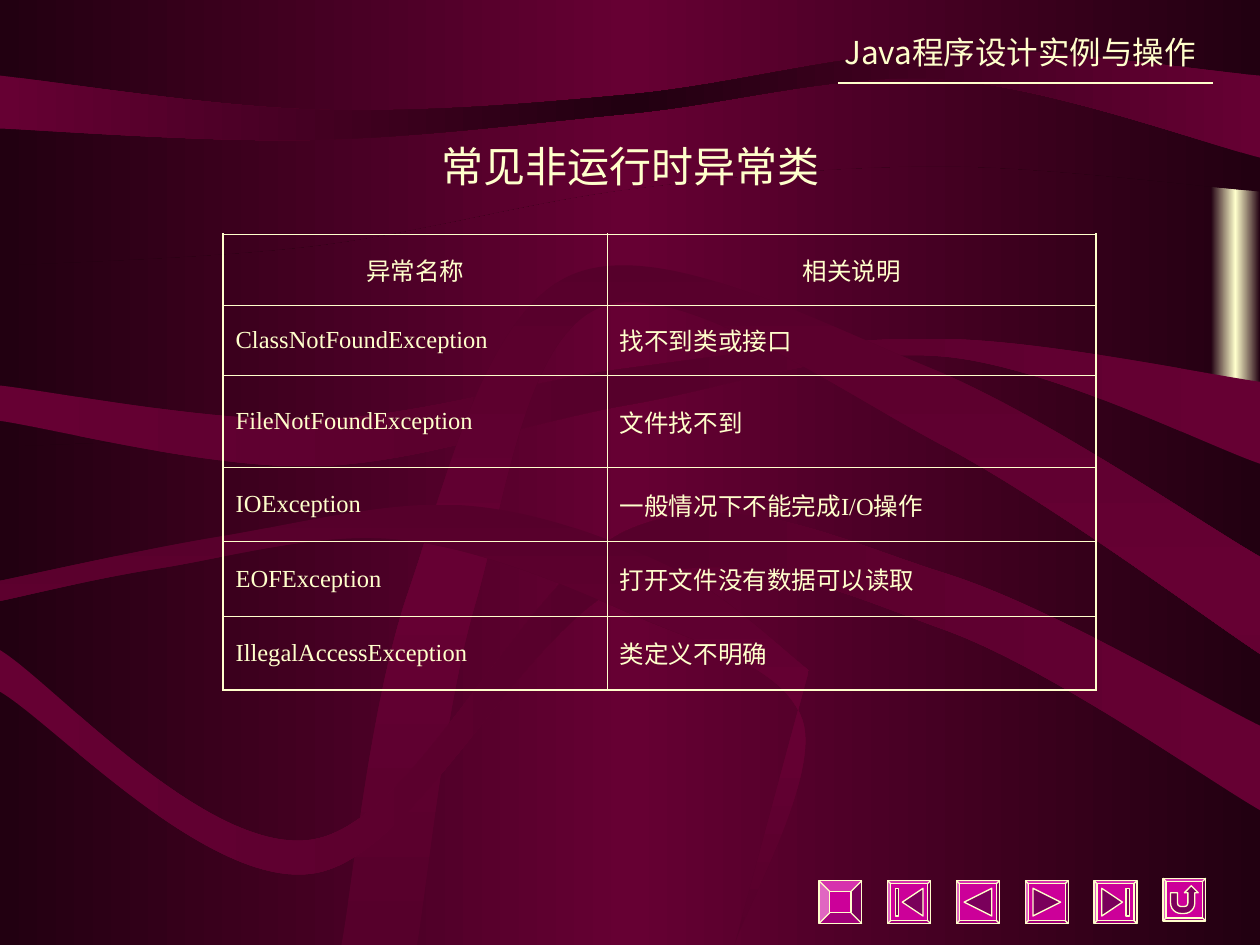
import copy
import pptx
import pptx.util
import pptx.dml.color
import pptx.enum.shapes
import pptx.enum.text
import pptx.oxml.ns
import pptx.oxml.xmlchemy

RGB = pptx.dml.color.RGBColor
CREAM = RGB.from_string("FFFFCC")
NIGHT = RGB.from_string("220011")
WINE = RGB.from_string("660033")
PLUM = RGB.from_string("56002B")
PINK = RGB.from_string("CC0099")
SANS, SERIF = "Noto Sans CJK SC", "Times New Roman"

Pt = pptx.util.Pt
qn = pptx.oxml.ns.qn
make = pptx.oxml.xmlchemy.OxmlElement
kinds = pptx.enum.shapes.MSO_SHAPE
ALIGN = pptx.enum.text.PP_ALIGN
MIDDLE = pptx.enum.text.MSO_ANCHOR.MIDDLE

# Slide, on a grid of 10 columns by 7.5 rows
deck = pptx.Presentation()
U = pptx.util.Inches(1)
deck.slide_width, deck.slide_height = 10 * U, int(7.5 * U)
slide = deck.slides.add_slide(deck.slide_layouts[6])
shapes = slide.shapes


def span(*cells):
    """Turn grid columns and rows into lengths."""
    return [int(cell * U) for cell in cells]


def write(frame, text, size=14, font=SERIF, align=ALIGN.LEFT):
    """Put one formatted paragraph into a text frame."""
    frame.word_wrap = True
    para = frame.paragraphs[0]
    para.alignment = align
    run = para.add_run()
    run.text = text
    run.font.size, run.font.name = Pt(size), font
    run.font.color.rgb = CREAM
    east = make("a:ea")
    east.set("typeface", SANS)
    run.font._element.append(east)


# Backdrop: a light strip, two wide areas and five ribbons
strip = shapes.add_shape(kinds.RECTANGLE, *span(9.61, 0.49, 0.39, 3.45))
strip.shadow.inherit = False
strip.line.fill.background()
shades = [(slide.background.fill, slide._element, NIGHT, WINE, 0),
          (strip.fill, strip._element, NIGHT, CREAM, 0)]

# Each band has an upper and a lower edge, as columns and rows
even = [col * 2.5 for col in range(5)]
bands = [
    (NIGHT, WINE, 0, even, [0] * 5, even, [2.11, 1.95, 1.5, 1.32, 1.52]),
    (NIGHT, WINE, 0, even, [3.55, 3.4, 2.95, 2.8, 3.16], even, [7.5] * 5),
    (WINE, NIGHT, 0, even, [0.6, 0.87, 0.75, 0.4, 0.6],
     even, [1.02, 1.11, 0.9, 0.63, 1.25]),
    (WINE, PLUM, 0, even, [3.06, 3.33, 2.92, 2.69, 3.03],
     even, [3.34, 3.7, 3.21, 2.83, 3.68]),
    (PLUM, WINE, 90, [2.71, 3.24, 4.54, 7.38, 10], [7.5, 4.7, 2.18, 2.92, 4.42],
     [3.31, 3.77, 4.79, 7.49, 10], [7.5, 4.8, 2.43, 3.54, 5.19]),
    (WINE, PLUM, 0, even, [5.16, 6.66, 4.2, 4.55, 5.76],
     even, [5.49, 6.93, 4.62, 5, 6.43]),
    (PLUM, WINE, 90, [0, 1.74, 3.66, 5.3, 6.42], [4.61, 4.26, 4.01, 4.49, 5.32],
     [0, 1.27, 3.14, 4.98, 6.37, 5.83], [4.77, 4.51, 4.28, 4.86, 5.72, 7.5]),
]
for edge, core, angle, highx, highy, lowx, lowy in bands:
    upper = list(zip(highx, highy))
    lower = list(zip(lowx, lowy))[::-1]
    spots = []
    for side in (upper, lower):
        spots.append(side[0])
        for i, (a, b) in enumerate(zip(side, side[1:])):
            prior, later = side[max(i - 1, 0)], side[min(i + 2, len(side) - 1)]
            spots += [tuple(p + (q - o) / 6 for o, p, q in zip(prior, a, b)),
                      tuple(q - (r - p) / 6 for p, q, r in zip(a, b, later)), b]
    pen = shapes.build_freeform(*span(*spots[0]))
    pen.add_line_segments([span(*spot) for spot in spots[1:]], close=True)
    band = pen.convert_to_shape()
    band.shadow.inherit = False
    band.line.fill.background()
    # Between the two edges stays one straight step; the rest bends
    steps = list(band._element.iter(qn("a:lnTo")))
    turn = 3 * (len(upper) - 1)
    bends = steps[:turn] + steps[turn + 1:]
    for group in zip(bends[::3], bends[1::3], bends[2::3]):
        curve = make("a:cubicBezTo")
        group[0].addprevious(curve)
        for step in group:
            curve.append(step[0])
            step.getparent().remove(step)
    shades.append((band.fill, band._element, edge, core, angle))

# Three-stop gradients, alike at both ends
for fill, node, edge, core, angle in shades:
    fill.gradient()
    fill.gradient_angle = angle
    for stop, tint in zip(fill.gradient_stops, (edge, core)):
        stop.color.rgb = tint
    stops = next(node.iter(qn("a:gsLst")))
    stops.append(copy.deepcopy(stops[0]))
    for i, stop in enumerate(stops):
        stop.set("pos", str(i * 50000))

# Buttons: an action button set inside each bevel but the first
SIDE, STEP, RIM = 0.34, 0.546, 0.07
icons = [None, kinds.ACTION_BUTTON_BEGINNING, kinds.ACTION_BUTTON_BACK_OR_PREVIOUS,
         kinds.ACTION_BUTTON_FORWARD_OR_NEXT, kinds.ACTION_BUTTON_END,
         kinds.ACTION_BUTTON_RETURN]
for col, icon in enumerate(icons):
    left, top = 6.5 + col * STEP, 6.97 if col == 5 else 6.99
    key = shapes.add_shape(kinds.BEVEL, *span(left, top, SIDE, SIDE))
    key.adjustments[0] = RIM if icon else 0.25
    parts = [key]
    if icon:
        gap = SIDE * RIM
        core = SIDE - 2 * gap
        parts.append(shapes.add_shape(icon, *span(left + gap, top + gap, core, core)))
    for part in parts:
        part.shadow.inherit = False
        part.fill.solid()
        part.fill.fore_color.rgb = PINK
        part.line.color.rgb = CREAM
        part.line.width = Pt(0.75)

# Header rule and texts
rule = shapes.add_connector(pptx.enum.shapes.MSO_CONNECTOR.STRAIGHT,
                            *span(6.65, 0.66, 9.63, 0.66))
rule.line.color.rgb = CREAM
rule.line.width = Pt(0.75)
rule._element.spPr.append(make("a:effectLst"))
head = shapes.add_textbox(*span(6.42, 0.21, 3.17, 0.4))
write(head.text_frame, "Java程序设计实例与操作", size=18, font=SANS, align=ALIGN.RIGHT)
title = shapes.add_textbox(*span(1.77, 1.07, 6.3, 0.5))
title.text_frame.margin_left = int(0.27 * U)
write(title.text_frame, "常见非运行时异常类", size=24, align=ALIGN.CENTER)

# Table of exceptions
data = [("异常名称", "相关说明"),
        ("ClassNotFoundException", "找不到类或接口"),
        ("FileNotFoundException", "文件找不到"),
        ("IOException", "一般情况下不能完成I/O操作"),
        ("EOFException", "打开文件没有数据可以读取"),
        ("IllegalAccessException", "类定义不明确")]
grid = shapes.add_table(len(data), 2, *span(1.77, 1.86, 6.93, 3.62)).table
grid.first_row = grid.horz_banding = False
for col, wide in zip(grid.columns, span(3.05, 3.88)):
    col.width = wide
for row, high in zip(grid.rows, span(0.56, 0.56, 0.73, 0.59, 0.59, 0.59)):
    row.height = high
for r, line in enumerate(data):
    for c, text in enumerate(line):
        cell = grid.cell(r, c)
        cell.fill.background()
        cell.vertical_anchor = MIDDLE
        write(cell.text_frame, text, align=ALIGN.LEFT if r else ALIGN.CENTER)
        outer = {"L": c == 0, "R": c == 1, "T": r == 0, "B": r == len(data) - 1}
        for place, (side, thick) in enumerate(outer.items()):
            edge = make("a:ln" + side)
            edge.set("w", str(Pt(1.08 if thick else 0.45)))
            paint, tint = make("a:solidFill"), make("a:srgbClr")
            tint.set("val", str(CREAM))
            paint.append(tint)
            edge.append(paint)
            cell._tc.get_or_add_tcPr().insert(place, edge)

deck.save("out.pptx")
